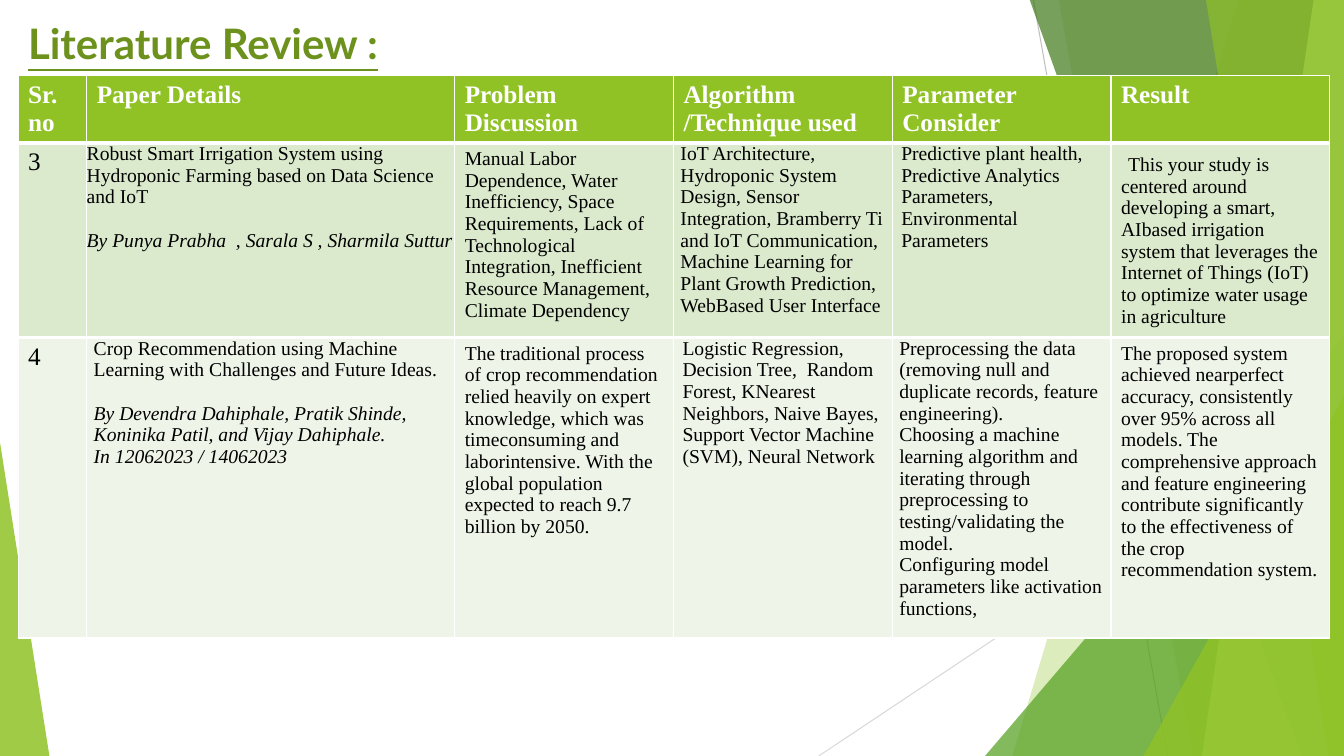
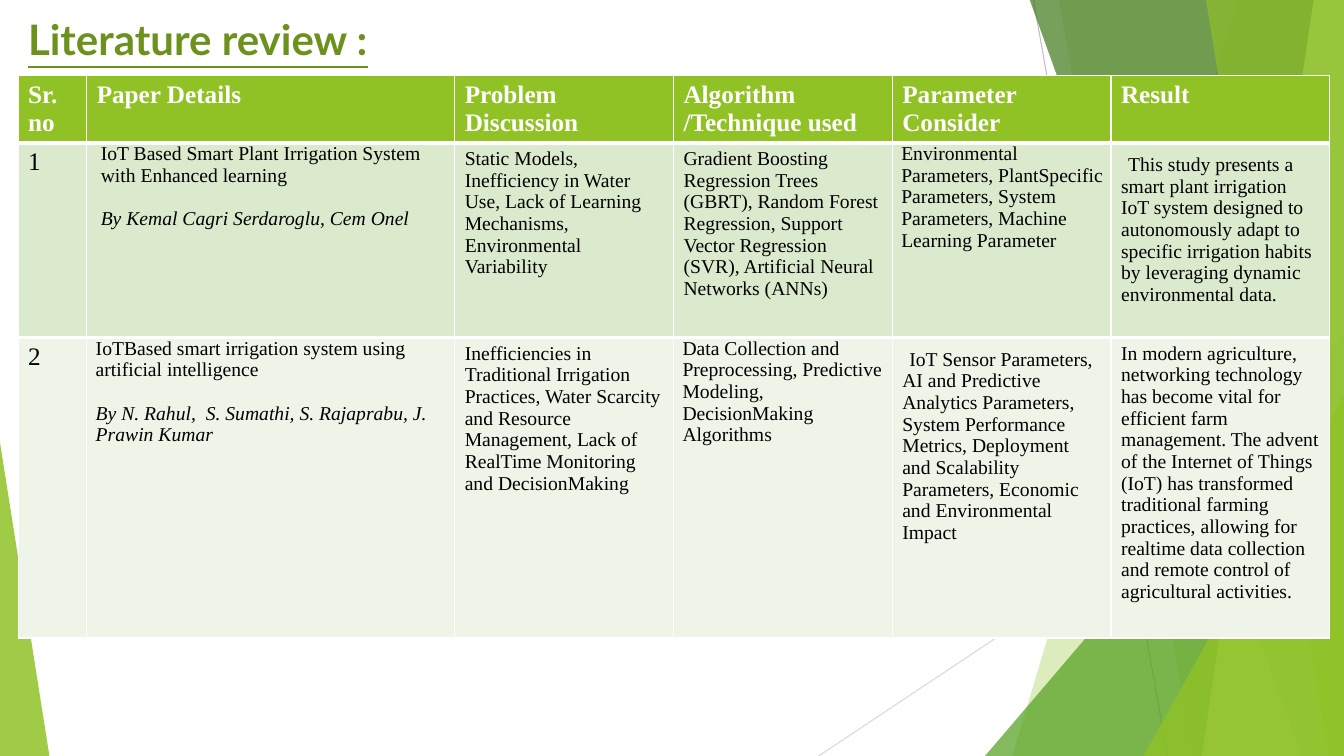
"""Build two literature review slides with faceted green edges and a paper table."""
from lxml import etree
from pptx import Presentation
from pptx.dml.color import RGBColor
from pptx.enum.shapes import MSO_CONNECTOR, MSO_SHAPE
from pptx.enum.text import MSO_AUTO_SIZE
from pptx.oxml.ns import qn
from pptx.util import Inches, Pt

STRAIGHT = MSO_CONNECTOR.STRAIGHT
TRIANGLE = MSO_SHAPE.ISOSCELES_TRIANGLE
GROW = MSO_AUTO_SIZE.SHAPE_TO_FIT_TEXT

COLORS = {
    "lime": "90C226", "green": "54A021", "forest": "3F7819", "pale": "C0E474",
    "title": "6C921D", "white": "FFFFFF", "black": "000000",
    "band1": "DBE9CD", "band2": "EEF4E8", "line1": "BFBFBF", "line2": "D9D9D9",
}
SERIF = "Times New Roman"
TOP, RIGHT, BOTTOM = -0.01, 13.33, 7.5

EDGE_LINES = [(10.25, 0, 11.58, 7.5, "line1"), (13.33, 4.03, 8.12, 7.5, "line2")]
FACETS = [
    ("band", 12.28, 10.04, "lime", 30),
    ("band", 10.5, 11.83, "lime", 20),
    ("triangle", (9.77, 3.33, 3.56, 4.17), 1, "green", 72),
    ("band", 10.21, 12.91, "forest", 70),
    ("band", 13.03, 11.92, "pale", 70),
    ("band", 11.96, 13.18, "lime", 65),
    ("triangle", (11.34, 3.93, 1.99, 3.57), 1, "lime", 80),
    ("triangle", (0, 4.39, 0.49, 3.11), 0, "lime", 85),
]

COLUMNS = [0.68, 3.65, 2.17, 2.17, 2.17, 2.17]
ROWS = [0.67, 1.93, 2.98]
HEADER = ["Sr.\nno", "Paper Details", "Problem Discussion", "Algorithm /Technique used",
          "Parameter Consider", "Result"]
HEADER_RULE = {0: "a:lnB", 1: "a:lnT"}
PAPER_COLUMN = 1

NORMAL = (0.1, 0.05, 0.1, 0)
LOWERED = (0.1, 0.11, 0.1, 0.07)
FLUSH = (0, 0, 0, 0)
NARROW = (0.07, 0, 0.07, 0)
HANGING = (0.09, 0, 0.03, 0)
INSET = (0.14, 0, 0, 0)

SLIDES = [
    ("Literature Review :", 0.12, [
        [("3", NORMAL),
         ("Robust Smart Irrigation System using Hydroponic Farming based on Data Science and IoT\n"
          "By Punya Prabha  , Sarala S , Sharmila Suttur", FLUSH),
         ("Manual Labor Dependence, Water Inefficiency, Space Requirements, Lack of "
          "Technological Integration, Inefficient Resource Management, Climate Dependency", NORMAL),
         ("IoT Architecture, Hydroponic System Design, Sensor Integration, Bramberry Ti and IoT "
          "Communication, Machine Learning for Plant Growth Prediction, WebBased User Interface",
          NARROW),
         ("Predictive plant health, Predictive Analytics Parameters, Environmental Parameters",
          HANGING),
         ("This your study is centered around developing a smart, AIbased irrigation system that "
          "leverages the Internet of Things (IoT) to optimize water usage in agriculture", LOWERED)],
        [("4", NORMAL),
         ("Crop Recommendation using Machine Learning with Challenges and Future Ideas.\n"
          "By Devendra Dahiphale, Pratik Shinde, Koninika Patil, and Vijay Dahiphale.\n"
          "In 12062023 / 14062023", NARROW),
         ("The traditional process of crop recommendation relied heavily on expert knowledge, "
          "which was timeconsuming and laborintensive. With the global population expected to "
          "reach 9.7 billion by 2050.", NORMAL),
         ("Logistic Regression, Decision Tree,  Random Forest, KNearest Neighbors, Naive Bayes, "
          "Support Vector Machine (SVM), Neural Network", HANGING),
         ("Preprocessing the data (removing null and duplicate records, feature engineering).\n"
          "Choosing a machine learning algorithm and iterating through preprocessing to "
          "testing/validating the model.\n"
          "Configuring model parameters like activation functions,", NARROW),
         ("The proposed system achieved nearperfect accuracy, consistently over 95% across all "
          "models. The comprehensive approach and feature engineering contribute significantly to "
          "the effectiveness of the crop recommendation system.", NORMAL)],
    ]),
    ("Literature review :", 0.09, [
        [("1", NORMAL),
         ("IoT Based Smart Plant Irrigation System with Enhanced learning\n"
          "By Kemal Cagri Serdaroglu, Cem Onel", INSET),
         ("Static Models, Inefficiency in Water Use, Lack of Learning Mechanisms, "
          "Environmental Variability", NORMAL),
         ("Gradient Boosting Regression Trees (GBRT), Random Forest Regression, Support Vector "
          "Regression (SVR), Artificial Neural Networks (ANNs)", NORMAL),
         ("Environmental Parameters, PlantSpecific Parameters, System Parameters, "
          "Machine Learning Parameter", HANGING),
         ("This study presents a smart plant irrigation IoT system designed to autonomously adapt "
          "to specific irrigation habits by leveraging dynamic environmental data.", LOWERED)],
        [("2", NORMAL),
         ("IoTBased smart irrigation system using artificial intelligence\n"
          "By N. Rahul,  S. Sumathi, S. Rajaprabu, J. Prawin Kumar", HANGING),
         ("Inefficiencies in Traditional Irrigation Practices, Water Scarcity and Resource "
          "Management, Lack of RealTime Monitoring and DecisionMaking", NORMAL),
         ("Data Collection and Preprocessing, Predictive Modeling, DecisionMaking Algorithms",
          HANGING),
         ("IoT Sensor Parameters, AI and Predictive Analytics Parameters, System Performance "
          "Metrics, Deployment and Scalability Parameters, Economic and Environmental Impact",
          LOWERED),
         ("In modern agriculture, networking technology has become vital for efficient farm "
          "management. The advent of the Internet of Things (IoT) has transformed traditional "
          "farming practices, allowing for realtime data collection and remote control of "
          "agricultural activities.", NORMAL)],
    ]),
]


def rgb(name):
    return RGBColor.from_string(COLORS[name])


def style_font(font, name, size, color, bold):
    font.name, font.size, font.bold = name, Pt(size), bold
    font.color.rgb = rgb(color)


prs = Presentation()
prs.slide_width, prs.slide_height = Inches(13.33), Inches(7.5)

for title, title_top, papers in SLIDES:
    s = prs.slides.add_slide(prs.slide_layouts[6])

    for x1, y1, x2, y2, color in EDGE_LINES:
        line = s.shapes.add_connector(STRAIGHT, Inches(x1), Inches(y1), Inches(x2), Inches(y2))
        line.line.color.rgb = rgb(color)
        line.line.width = Pt(0.75)
        etree.SubElement(line._element.spPr, qn("a:effectLst"))

    for kind, place, end, color, alpha in FACETS:
        if kind == "band":
            corners = [(RIGHT, TOP), (RIGHT, BOTTOM), (end, BOTTOM)]
            outline = s.shapes.build_freeform(Inches(place), Inches(TOP))
            outline.add_line_segments([(Inches(x), Inches(y)) for x, y in corners])
            sp = outline.convert_to_shape()
        else:
            sp = s.shapes.add_shape(TRIANGLE, *[Inches(v) for v in place])
            sp.adjustments[0] = end
        sp.shadow.inherit = False
        sp.line.fill.background()
        sp.fill.solid()
        sp.fill.fore_color.rgb = rgb(color)
        tint = sp._element.spPr.find(qn("a:solidFill"))[0]
        etree.SubElement(tint, qn("a:alpha"), val=str(alpha * 1000))

    table = s.shapes.add_table(len(ROWS), len(COLUMNS), Inches(0.18), Inches(0.75),
                               Inches(sum(COLUMNS)), Inches(sum(ROWS))).table
    for column, width in zip(table.columns, COLUMNS):
        column.width = Inches(width)
    for row, height in zip(table.rows, ROWS):
        row.height = Inches(height)

    header = [(text, NORMAL) for text in HEADER]
    for i, (cells, band) in enumerate(zip([header] + papers, ["lime", "band1", "band2"])):
        for j, (text, (left, top, right, first_indent)) in enumerate(cells):
            cell = table.cell(i, j)
            cell.fill.solid()
            cell.fill.fore_color.rgb = rgb(band)
            cell.margin_left, cell.margin_right = Inches(left), Inches(right)
            cell.margin_top = Inches(top)
            if i in HEADER_RULE:
                rule = etree.Element(qn(HEADER_RULE[i]), w=str(Pt(3)))
                paint = etree.SubElement(rule, qn("a:solidFill"))
                etree.SubElement(paint, qn("a:srgbClr"), val=COLORS["white"])
                cell._tc.get_or_add_tcPr().insert(0, rule)
            cell.text = text
            for k, p in enumerate(cell.text_frame.paragraphs):
                style_font(p.font, SERIF, 18 if i == 0 or j == 0 else 14,
                           "white" if i == 0 else "black", i == 0)
                if j == PAPER_COLUMN and k > 0:
                    p.font.italic = True
                    p.space_before = Pt(15.5 if k == 1 else 0)
                if first_indent:
                    p._p.get_or_add_pPr().set("indent", str(Inches(first_indent)))

    box = s.shapes.add_textbox(Inches(0.18), Inches(title_top), Inches(4.67), Inches(0.6))
    tf = box.text_frame
    tf.word_wrap = True
    tf.auto_size = GROW
    p = tf.paragraphs[0]
    p.text = title
    style_font(p.font, "Lato", 30, "title", True)
    p.font.underline = True

prs.save("out.pptx")
